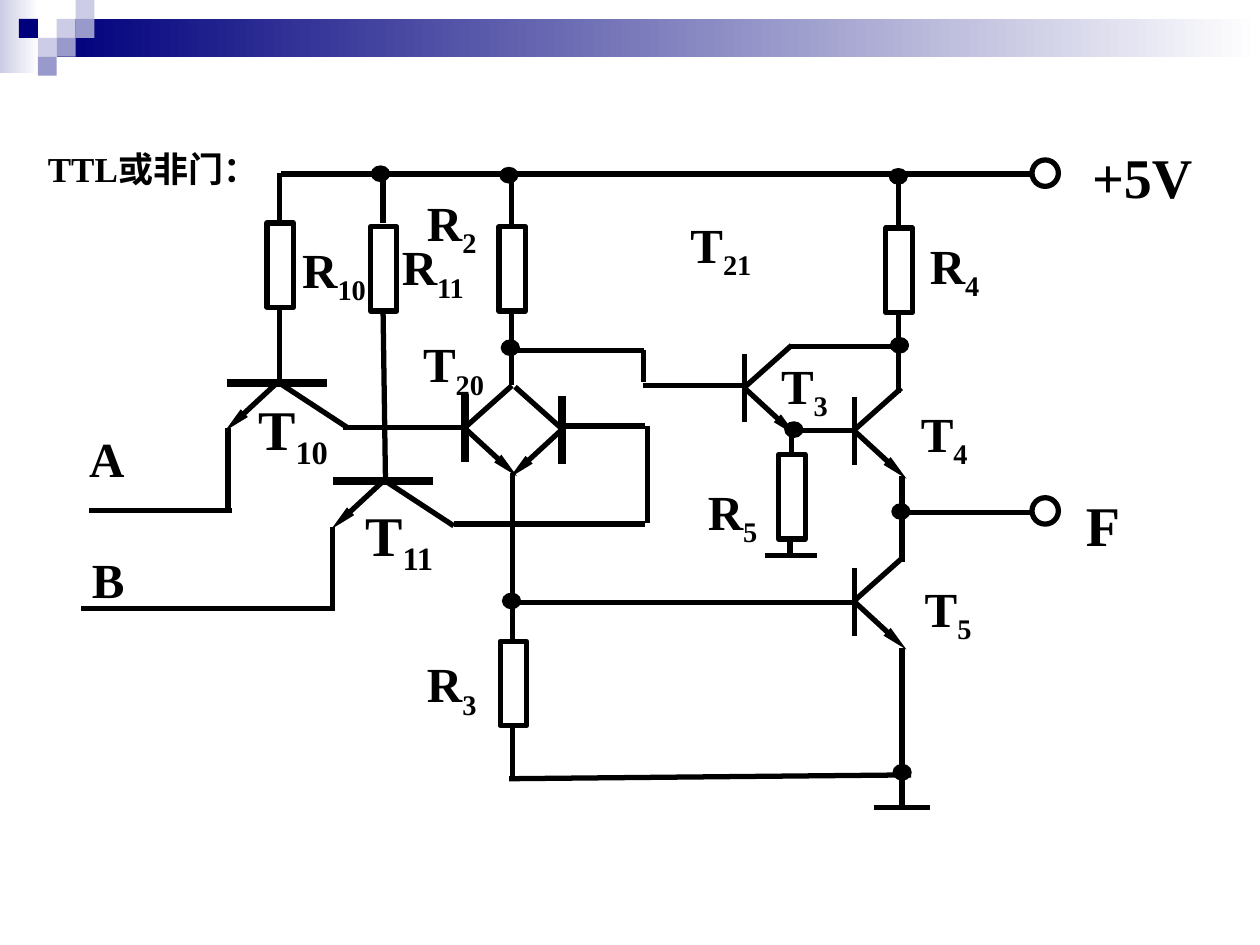
from typing import NamedTuple

from lxml import etree
from pptx import Presentation
from pptx.dml.color import RGBColor
from pptx.enum.shapes import MSO_CONNECTOR, MSO_SHAPE
from pptx.enum.text import MSO_ANCHOR, MSO_AUTO_SIZE, PP_ALIGN
from pptx.oxml.ns import qn
from pptx.util import Pt

RECTANGLE, OVAL = MSO_SHAPE.RECTANGLE, MSO_SHAPE.OVAL
STRAIGHT = MSO_CONNECTOR.STRAIGHT
FONT = "Times New Roman"
BLACK, WHITE, NAVY = "000000", "FFFFFF", "00007D"
LILAC, VIOLET = "CCCCE6", "9999CC"
WIRE, THICK = 3, 4.5
TITLE_ONLY = 5
CELL = 10.8


class Label(NamedTuple):
    name: str
    subscript: str
    left: float
    top: float
    width: float
    size: float = 28


class Transistor(NamedTuple):
    """Upright transistor; direction is 1 when it faces right, -1 when left."""
    x: float
    y: float
    direction: int = 1
    base_width: float = WIRE


LABELS = [
    Label("+5V", "", 617, 77.8, 98.6, 32),
    Label("F", "", 613.4, 276.5, 58.3, 32),
    Label("A", "", 43.9, 241.2, 55.4),
    Label("B", "", 45.4, 310.3, 55.4),
    Label("R", "2", 236.9, 106.6, 82),
    Label("R", "3", 236.9, 370.1, 80.6),
    Label("R", "4", 524.2, 131, 82),
    Label("R", "5", 397.4, 271.4, 49),
    Label("R", "10", 165.6, 133.2, 82),
    Label("R", "11", 222.5, 131.8, 82),
    Label("T", "3", 439.2, 199.4, 77.8),
    Label("T", "4", 519.1, 226.8, 51.8),
    Label("T", "5", 521.3, 326.9, 51.8),
    Label("T", "10", 140.4, 221.8, 66.2, 32),
    Label("T", "11", 201.6, 282.2, 56.9, 32),
    Label("T", "20", 234.7, 187.2, 59.8),
    Label("T", "21", 387.4, 118.8, 71.3),
]
TRANSISTORS = [
    Transistor(265.7, 244.8, 1, THICK),
    Transistor(321.1, 245.5, -1, THICK),
    Transistor(425.5, 221.8),
    Transistor(488.2, 246.2),
    Transistor(488.2, 343.8),
]
INPUT_TRANSISTORS = [(158.2, 218.9), (218.9, 275)]
RESISTORS = [(152.6, 127.4), (211.7, 129.6), (285.1, 129.6),
             (506.2, 130.3), (445, 259.9), (285.8, 366.5)]
TERMINALS = [(589.7, 91.4), (589.7, 284.4)]
JUNCTIONS = [(212.4, 95), (285.8, 95.8), (508.3, 96.5), (286.6, 194.4),
             (509, 193), (448.6, 241.2), (509.8, 288), (287.3, 339.1),
             (510.5, 437)]
ROUTES = [
    # Supply rail and the resistors hanging from it
    [(160.6, 99.4), (590.4, 99.4)],
    [(159.8, 98.6), (159.8, 126.7)],
    [(218.9, 99.4), (218.9, 127.4)],
    [(292.3, 98.6), (292.3, 129.6)],
    [(513.4, 99.4), (513.4, 131)],
    # Input stage
    [(159.8, 176.4), (159.8, 218.9)],
    [(218.9, 177.8), (220.3, 275)],
    [(130.3, 244.8), (130.3, 293)],
    [(132.5, 291.6), (51.1, 291.6)],
    [(190.1, 301), (190.1, 349.2)],
    [(191.5, 347.8), (46.1, 347.8)],
    [(195.8, 244.1), (265.7, 244.1)],
    [(259.2, 299.5), (368.6, 299.5)],
    [(370.1, 298.8), (370.1, 243.4)],
    [(368.6, 243.4), (319.7, 243.4)],
    # Phase splitter
    [(292.3, 177.8), (292.3, 220.3)],
    [(293, 200.2), (367.9, 200.2), (367.9, 218.2)],
    [(367.2, 220.3), (425.5, 220.3)],
    [(293, 270), (293, 366.5)],
    [(295.2, 344.2), (487.4, 344.2)],
    [(293, 413.3), (293, 445.7)],
    [(290.9, 445), (520.6, 442.8)],
    # Output stage
    [(450.7, 198), (513.4, 198)],
    [(513.4, 178.6), (513.4, 224.6)],
    [(450.7, 246.2), (488.2, 246.2)],
    [(452.2, 244.8), (452.2, 259.9)],
    [(451.4, 307.4), (451.4, 318.2)],
    [(437, 317.5), (466.6, 317.5)],
    [(515.5, 272.2), (515.5, 321.1)],
    [(515.5, 293), (589.7, 293)],
    [(515.5, 370.1), (515.5, 462.2)],
    [(499.7, 461.5), (531.4, 461.5)],
]
SQUARES = [(3, 1, LILAC), (4, 0, LILAC), (4, 1, VIOLET), (2, 2, LILAC),
           (1, 1, NAVY), (3, 2, VIOLET), (2, 3, VIOLET)]


def color(value: str) -> RGBColor:
    return RGBColor.from_string(value)


def add_figure(slide, kind, left: float, top: float, width: float,
               height: float, fill: str = "", line_width: float = 0):
    shape = slide.shapes.add_shape(kind, Pt(left), Pt(top), Pt(width), Pt(height))
    shape.shadow.inherit = False
    if fill:
        shape.fill.solid()
        shape.fill.fore_color.rgb = color(fill)
    else:
        shape.fill.background()
    if line_width:
        shape.line.color.rgb = color(BLACK)
        shape.line.width = Pt(line_width)
    else:
        shape.line.fill.background()
    return shape


def add_fading_bar(slide, left: float, top: float, width: float,
                   height: float, start: str) -> None:
    bar = add_figure(slide, RECTANGLE, left, top, width, height)
    bar.fill.gradient()
    bar.fill.gradient_angle = 0
    for stop, value in zip(bar.fill.gradient_stops, (start, WHITE)):
        stop.color.rgb = color(value)


def add_line(slide, start: tuple, end: tuple, width: float = WIRE,
             arrow: bool = False) -> None:
    line = slide.shapes.add_connector(STRAIGHT, *map(Pt, start + end))
    line.line.color.rgb = color(BLACK)
    line.line.width = Pt(width)
    if arrow:
        etree.SubElement(line.line._get_or_add_ln(), qn("a:tailEnd"),
                         type="triangle", w="sm", len="lg")
    etree.SubElement(line._element.spPr, qn("a:effectLst"))


def add_transistor(slide, part: Transistor) -> None:
    x, y, direction, base_width = part
    add_line(slide, (x, y - 19.4), (x, y + 19.4), base_width)
    add_line(slide, (x, y), (x + 29.8 * direction, y + 27.4), arrow=True)
    add_line(slide, (x, y - 0.5), (x + 26.8 * direction, y - 24.4))


def add_input_transistor(slide, x: float, y: float) -> None:
    add_line(slide, (x - 28.5, y), (x + 28.5, y), THICK)
    add_line(slide, (x, y), (x - 29.6, y + 27.4), arrow=True)
    add_line(slide, (x + 1.5, y), (x + 40.4, y + 25.5))


def add_run(paragraph, text: str, size: float):
    run = paragraph.add_run()
    run.text = text
    run.font.name = FONT
    run.font.size = Pt(size)
    run.font.bold = True
    run.font.color.rgb = color(BLACK)
    return run


def add_label(slide, label: Label) -> None:
    box = slide.shapes.add_textbox(Pt(label.left), Pt(label.top),
                                   Pt(label.width), Pt(label.size * 1.45))
    box.text_frame.word_wrap = True
    paragraph = box.text_frame.paragraphs[0]
    add_run(paragraph, label.name, label.size)
    if label.subscript:
        run = add_run(paragraph, label.subscript, label.size)
        run.font._element.set("baseline", "-25000")


def format_title(title) -> None:
    title.left, title.top, title.width, title.height = map(Pt, (18, 80.6, 139, 31.7))
    frame = title.text_frame
    frame.word_wrap = False
    frame.auto_size = MSO_AUTO_SIZE.SHAPE_TO_FIT_TEXT
    frame.vertical_anchor = MSO_ANCHOR.MIDDLE
    frame.paragraphs[0].alignment = PP_ALIGN.CENTER
    add_run(frame.paragraphs[0], "TTL或非门：", 20)


def main() -> None:
    presentation = Presentation()
    presentation.slide_width, presentation.slide_height = Pt(720), Pt(540)
    slide = presentation.slides.add_slide(presentation.slide_layouts[TITLE_ONLY])
    format_title(slide.shapes.title)
    add_fading_bar(slide, 0, 0, 22.3, 41.8, LILAC)
    add_fading_bar(slide, 3 * CELL, CELL, 687.6, 2 * CELL, NAVY)
    for column, row, fill in SQUARES:
        add_figure(slide, RECTANGLE, column * CELL, row * CELL, CELL, CELL, fill)
    for route in ROUTES:
        for start, end in zip(route, route[1:]):
            add_line(slide, start, end)
    for transistor in TRANSISTORS:
        add_transistor(slide, transistor)
    for x, y in INPUT_TRANSISTORS:
        add_input_transistor(slide, x, y)
    for left, top in RESISTORS:
        add_figure(slide, RECTANGLE, left, top, 15.1, 48.2, line_width=WIRE)
    for left, top in TERMINALS:
        add_figure(slide, OVAL, left, top, 15.1, 15.1, line_width=WIRE)
    for left, top in JUNCTIONS:
        add_figure(slide, OVAL, left, top, 10, 8.6, BLACK, 1)
    for label in LABELS:
        add_label(slide, label)
    presentation.save("out.pptx")


if __name__ == "__main__":
    main()
